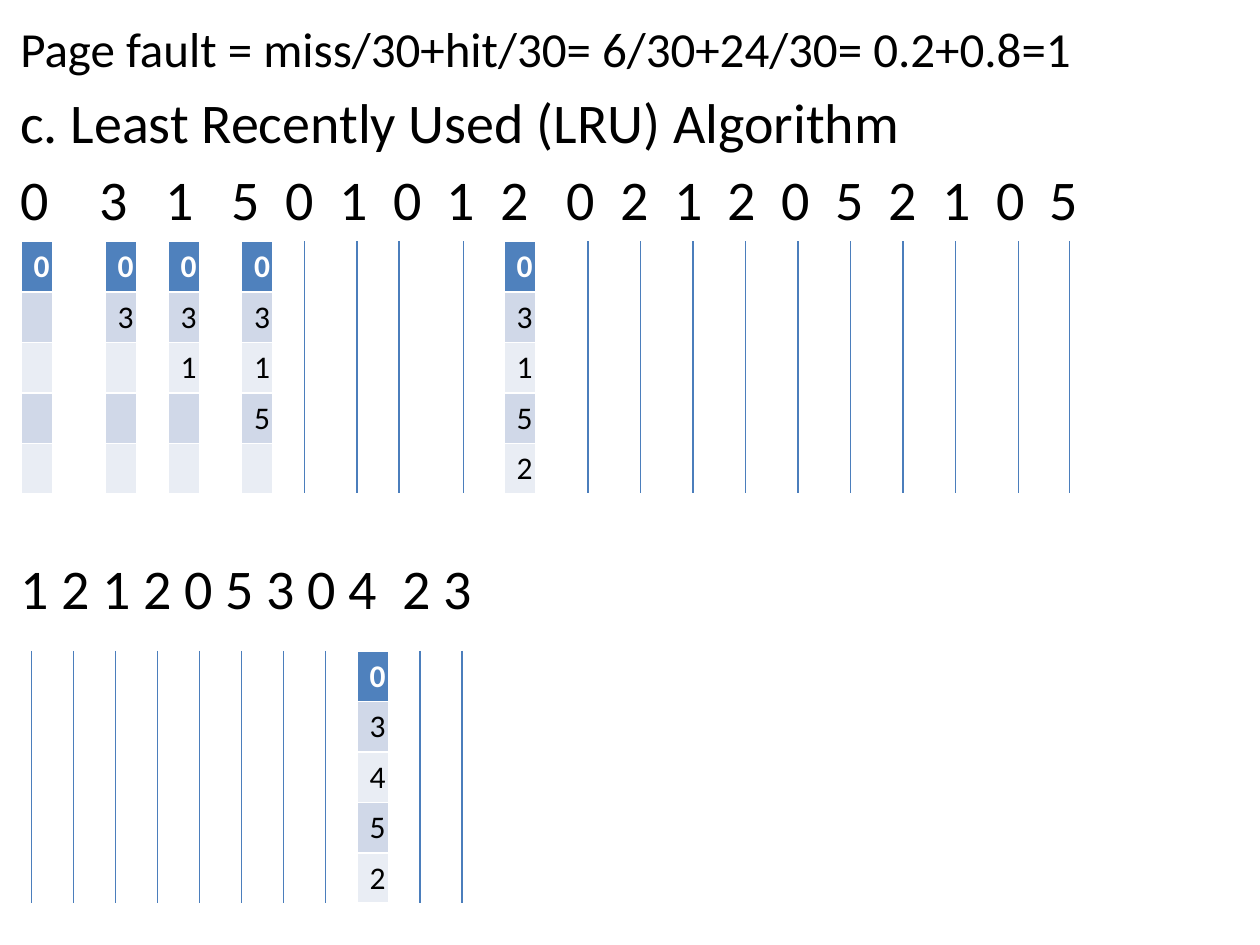
import itertools

import pptx
import pptx.dml.color
import pptx.enum.shapes
import pptx.oxml.ns
import pptx.util
from lxml import etree

Pt = pptx.util.Pt
RGBColor = pptx.dml.color.RGBColor

BLACK = RGBColor(0x00, 0x00, 0x00)
WHITE = RGBColor(0xFF, 0xFF, 0xFF)
HEADER_BLUE = RGBColor(0x4F, 0x81, 0xBD)
BAND_DARK = RGBColor(0xD0, 0xD8, 0xE8)
BAND_LIGHT = RGBColor(0xE9, 0xED, 0xF4)
HIT_BLUE = RGBColor(0x4B, 0x7E, 0xBC)

FONT = "Calibri"
FRAME_COUNT = 5
FRAMES_HEIGHT = 144
FRAME_WIDTH = 18
DIGIT_WIDTH = 16.22
SPACE_WIDTH = 7.23

FIRST_PAGES = "0 3 1 5 0 1 0 1 2 0 2 1 2 0 5 2 1 0 5"
FIRST_GAPS = [4, 3, 3] + [2] * 5 + [3] + [2] * 9
FIRST_TOP = 138
FIRST_MISSES = {12: "0", 60: "03", 96: "031", 138: "0315", 288: "03152"}
FIRST_HITS = [174, 204, 228, 265, *range(336, 547, 30), 582, 611]

SECOND_PAGES = "1 2 1 2 0 5 3 0 4 2 3"
SECOND_GAPS = [1] * 8 + [2, 1]
SECOND_TOP = 372
SECOND_MISSES = {204: "03452"}
SECOND_HITS = [*range(18, 187, 24), 240, 264]


def write_text(paragraph, text, size=32, color=BLACK, bold=False, before=0):
    paragraph.space_before = Pt(before)
    run = paragraph.add_run()
    run.text = text
    run.font.name = FONT
    run.font.size = Pt(size)
    run.font.bold = bold
    run.font.color.rgb = color


def write_pages(paragraph, pages, gaps, before):
    write_text(paragraph, pages.replace(" ", "\t"), before=before)
    properties = paragraph._p.get_or_add_pPr()
    stops = etree.SubElement(properties, pptx.oxml.ns.qn("a:tabLst"))
    advances = (DIGIT_WIDTH + gap * SPACE_WIDTH for gap in gaps)
    for position in itertools.accumulate(advances):
        stop = etree.SubElement(stops, pptx.oxml.ns.qn("a:tab"))
        stop.set("pos", str(int(Pt(position))))
        stop.set("algn", "l")


def add_body(slide):
    body = slide.shapes.add_textbox(Pt(4.5), Pt(7), Pt(715.5), Pt(530)).text_frame
    body.word_wrap = True
    write_text(body.paragraphs[0],
               "Page fault = miss/30+hit/30= 6/30+24/30= 0.2+0.8=1", size=28)
    write_text(body.add_paragraph(), "c. Least Recently Used (LRU) Algorithm", before=5.6)
    write_pages(body.add_paragraph(), FIRST_PAGES, FIRST_GAPS, before=5.6)
    write_pages(body.add_paragraph(), SECOND_PAGES, SECOND_GAPS, before=184.3)


def add_frames(slide, left, top, pages):
    frames = slide.shapes.add_table(FRAME_COUNT, 1, Pt(left), Pt(top),
                                    Pt(FRAME_WIDTH), Pt(FRAMES_HEIGHT)).table
    for row in range(FRAME_COUNT):
        header = row == 0
        cell = frames.cell(row, 0)
        cell.fill.solid()
        cell.fill.fore_color.rgb = (
            HEADER_BLUE if header else BAND_DARK if row % 2 else BAND_LIGHT)
        if row < len(pages):
            write_text(cell.text_frame.paragraphs[0], pages[row], size=18,
                       color=WHITE if header else BLACK, bold=header)


def add_hit(slide, left, top):
    hit = slide.shapes.add_connector(
        pptx.enum.shapes.MSO_CONNECTOR.STRAIGHT,
        Pt(left), Pt(top), Pt(left), Pt(top + FRAMES_HEIGHT))
    hit.line.color.rgb = HIT_BLUE
    hit.line.width = Pt(0.75)
    etree.SubElement(hit._element.spPr, pptx.oxml.ns.qn("a:effectLst"))


def add_trace(slide, top, misses, hits):
    for left, pages in misses.items():
        add_frames(slide, left, top, pages)
    for left in hits:
        add_hit(slide, left, top)


def main():
    presentation = pptx.Presentation()
    presentation.slide_width = Pt(720)
    presentation.slide_height = Pt(540)
    slide = presentation.slides.add_slide(presentation.slide_layouts[6])
    add_body(slide)
    add_trace(slide, FIRST_TOP, FIRST_MISSES, FIRST_HITS)
    add_trace(slide, SECOND_TOP, SECOND_MISSES, SECOND_HITS)
    presentation.save("out.pptx")


if __name__ == "__main__":
    main()
